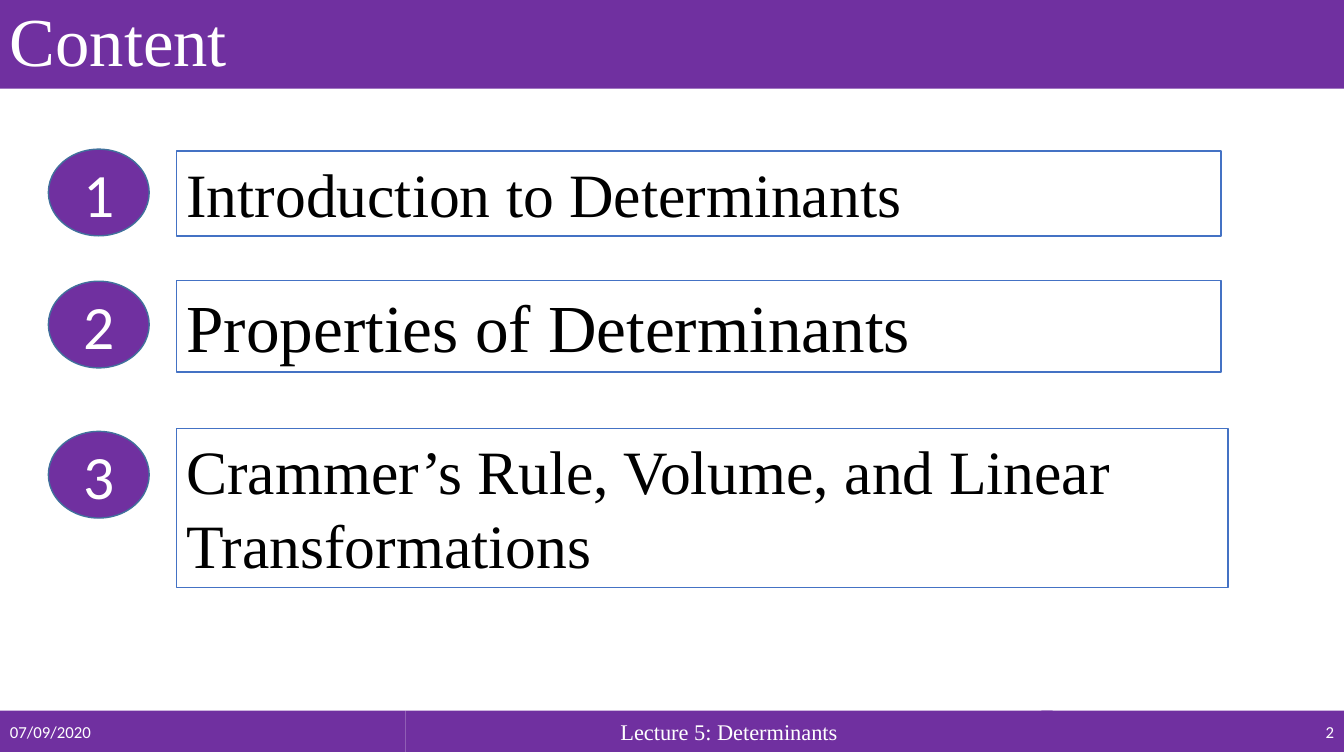
from pptx import Presentation
from pptx.dml.color import RGBColor
from pptx.enum.shapes import MSO_SHAPE
from pptx.enum.text import MSO_ANCHOR, PP_ALIGN
from pptx.util import Pt

PX = 9144  # EMU per px, 100 px to the inch
WIDTH, HEIGHT = 1333, 750
COLORS = {
    "purple": "7030A0",
    "white": "FFFFFF",
    "black": "000000",
    "badge_line": "41719C",
    "topic_line": "4472C4",
}
SERIF, SANS = "Times New Roman", "Calibri"


def color(name):
    return RGBColor.from_string(COLORS[name])


def add_box(page, box, text, font, size, kind=MSO_SHAPE.RECTANGLE, fill="purple",
            line=None, ink="white", align=PP_ALIGN.LEFT, anchor=MSO_ANCHOR.MIDDLE):
    """Add a filled shape with one paragraph of text; box is left, top, width, height in px."""
    shape = page.shapes.add_shape(kind, *(length * PX for length in box))
    shape.shadow.inherit = False
    shape.fill.solid()
    shape.fill.fore_color.rgb = color(fill)
    if line:
        shape.line.color.rgb = color(line)
        shape.line.width = Pt(1)
    else:
        shape.line.fill.background()
    frame = shape.text_frame
    frame.word_wrap = True
    frame.vertical_anchor = anchor
    frame.text = text
    para = frame.paragraphs[0]
    para.alignment = align
    span = para.runs[0]
    span.font.name = font
    span.font.size = Pt(size)
    span.font.color.rgb = color(ink)
    return shape


def add_title(page, box, text):
    title = add_box(page, box, text, SERIF, 49)
    title.text_frame.paragraphs[0].line_spacing = 0.9


def add_footer(page, box, date, lecture, number):
    left, top, width, height = box
    date_width, lecture_width, number_width = 402, 642, 300
    add_box(page, (left, top, date_width, height), date, SANS, 12)
    add_box(page, (left + date_width, top, lecture_width, height), lecture, SERIF, 16,
            align=PP_ALIGN.CENTER)
    add_box(page, (left + width - number_width, top, number_width, height), number, SANS, 12,
            align=PP_ALIGN.RIGHT)


def add_topic(page, box, number, text, size, badge_top):
    """Add a framed topic with its numbered badge to the left."""
    badge_width, badge_height, badge_offset = 100, 86, 127
    add_box(page, (box[0] - badge_offset, badge_top, badge_width, badge_height), str(number),
            SANS, 44, kind=MSO_SHAPE.OVAL, line="badge_line", align=PP_ALIGN.CENTER)
    add_box(page, box, text, SERIF, size, fill="white", line="topic_line", ink="black",
            anchor=MSO_ANCHOR.TOP)


def add_content_slide(deck):
    page = deck.slides.add_slide(deck.slide_layouts[6])
    add_title(page, (0, 0, WIDTH, 88), "Content")
    add_footer(page, (0, 705, WIDTH, 41), "07/09/2020", "Lecture 5: Determinants", "2")
    topics = [
        ("Introduction to Determinants", 44, (175, 150, 1036, 84), 148),
        ("Properties of Determinants", 48, (175, 278, 1036, 91), 279),
        ("Crammer’s Rule, Volume, and Linear Transformations", 44, (175, 425, 1043, 158), 428),
    ]
    for number, (text, size, box, badge_top) in enumerate(topics, start=1):
        add_topic(page, box, number, text, size, badge_top)


def main():
    deck = Presentation()
    deck.slide_width, deck.slide_height = WIDTH * PX, HEIGHT * PX
    add_content_slide(deck)
    deck.save("out.pptx")


if __name__ == "__main__":
    main()
